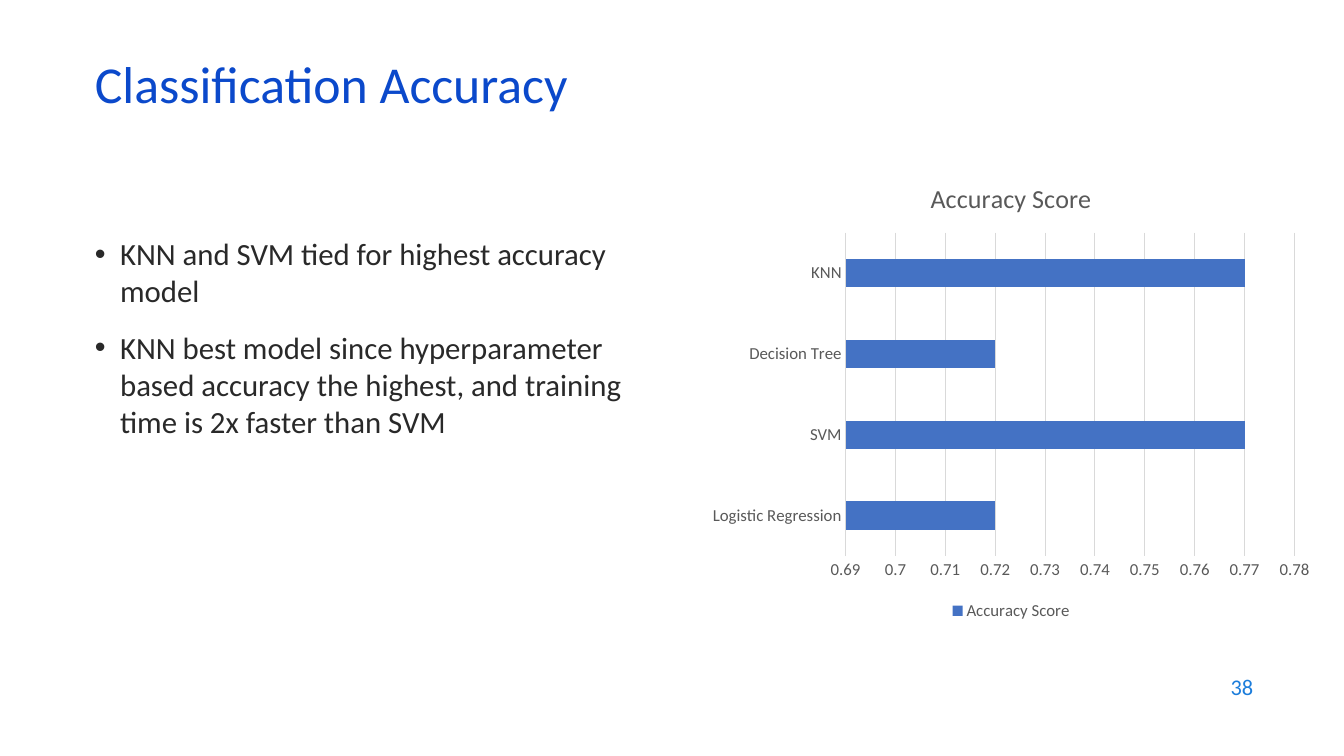
from dataclasses import dataclass

from lxml import etree
from pptx import Presentation
from pptx.chart.data import CategoryChartData
from pptx.dml.color import RGBColor
from pptx.enum.chart import XL_CHART_TYPE, XL_LEGEND_POSITION, XL_TICK_MARK
from pptx.enum.text import MSO_ANCHOR, PP_ALIGN
from pptx.oxml.ns import qn
from pptx.util import Pt

BAR = XL_CHART_TYPE.BAR_CLUSTERED
LEGEND_BOTTOM = XL_LEGEND_POSITION.BOTTOM
NO_TICK = XL_TICK_MARK.NONE
TOP, MIDDLE = MSO_ANCHOR.TOP, MSO_ANCHOR.MIDDLE
LEFT, RIGHT = PP_ALIGN.LEFT, PP_ALIGN.RIGHT
EMU_PER_PX = 9525


@dataclass(frozen=True)
class Theme:
    font: str = "Calibri"
    title: str = "0B49CB"
    body: str = "292929"
    number: str = "1C7DDB"
    label: str = "595959"
    grid: str = "D9D9D9"
    bar: str = "4472C4"
    title_pt: float = 37
    body_pt: float = 22
    number_pt: float = 16
    chart_title_pt: float = 18.6
    label_pt: float = 12


THEME = Theme()


def px(n):
    return n * EMU_PER_PX


def style(font, size, color):
    font.name = THEME.font
    font.size = Pt(size)
    font.bold = False
    font.color.rgb = RGBColor.from_string(color)


def add_text(s, box, paragraphs, size, color, anchor=TOP, align=LEFT):
    tf = s.shapes.add_textbox(*map(px, box)).text_frame
    tf.word_wrap = True
    tf.vertical_anchor = anchor
    for i, text in enumerate(paragraphs):
        p = tf.add_paragraph() if i else tf.paragraphs[0]
        p.alignment = align
        r = p.add_run()
        r.text = text
        style(r.font, size, color)
    return tf


def add_title(s, box, text):
    tf = add_text(s, box, [text], THEME.title_pt, THEME.title, MIDDLE)
    tf.paragraphs[0].line_spacing = 0.7


def add_bullets(s, box, items):
    tf = add_text(s, box, items, THEME.body_pt, THEME.body)
    for i, p in enumerate(tf.paragraphs):
        pPr = p._p.get_or_add_pPr()
        pPr.set("marL", str(px(24)))
        pPr.set("indent", str(px(-24)))
        etree.SubElement(pPr, qn("a:buFont")).set("typeface", "Arial")
        etree.SubElement(pPr, qn("a:buChar")).set("char", "•")
        if i:
            p.space_before = Pt(14)


def add_page_number(s, box, number):
    add_text(s, box, [number], THEME.number_pt, THEME.number, MIDDLE, RIGHT)


def style_axis(axis):
    axis.major_tick_mark = axis.minor_tick_mark = NO_TICK
    style(axis.tick_labels.font, THEME.label_pt, THEME.label)


def grid_line(line):
    line.width = Pt(0.75)
    line.color.rgb = RGBColor.from_string(THEME.grid)


def add_accuracy_chart(s, box, name, scores):
    data = CategoryChartData(number_format="General")
    data.categories = list(scores)
    data.add_series(name, list(scores.values()))
    chart = s.shapes.add_chart(BAR, *map(px, box), data).chart
    style(chart.font, THEME.label_pt, THEME.label)

    # Title and legend
    chart.has_title = True
    r = chart.chart_title.text_frame.paragraphs[0].add_run()
    r.text = name
    style(r.font, THEME.chart_title_pt, THEME.label)
    chart.has_legend = True
    chart.legend.position = LEGEND_BOTTOM
    chart.legend.include_in_layout = False
    style(chart.legend.font, THEME.label_pt, THEME.label)

    # Bars
    plot = chart.plots[0]
    plot.vary_by_categories = False
    plot.gap_width = 182
    fill = plot.series[0].format.fill
    fill.solid()
    fill.fore_color.rgb = RGBColor.from_string(THEME.bar)

    # Axes
    models, accuracy = chart.category_axis, chart.value_axis
    style_axis(models)
    grid_line(models.format.line)
    style_axis(accuracy)
    accuracy.minimum_scale, accuracy.maximum_scale = 0.69, 0.78
    accuracy.major_unit = 0.01
    accuracy.format.line.fill.background()
    accuracy.has_major_gridlines = True
    grid_line(accuracy.major_gridlines.format.line)


def build_accuracy_slide(prs):
    s = prs.slides.add_slide(prs.slide_layouts[6])
    add_title(s, (81, 57, 1104, 58), "Classification Accuracy")
    add_bullets(s, (81, 219, 559, 400), [
        "KNN and SVM tied for highest accuracy model",
        "KNN best model since hyperparameter based accuracy the highest, "
        "and training time is 2x faster than SVM",
    ])
    add_accuracy_chart(s, (667, 153, 592, 442), "Accuracy Score", {
        "Logistic Regression": 0.72,
        "SVM": 0.77,
        "Decision Tree": 0.72,
        "KNN": 0.77,
    })
    add_page_number(s, (915, 633, 288, 42), "38")


def main():
    prs = Presentation()
    prs.slide_width, prs.slide_height = px(1280), px(720)
    build_accuracy_slide(prs)
    prs.save("out.pptx")


if __name__ == "__main__":
    main()
